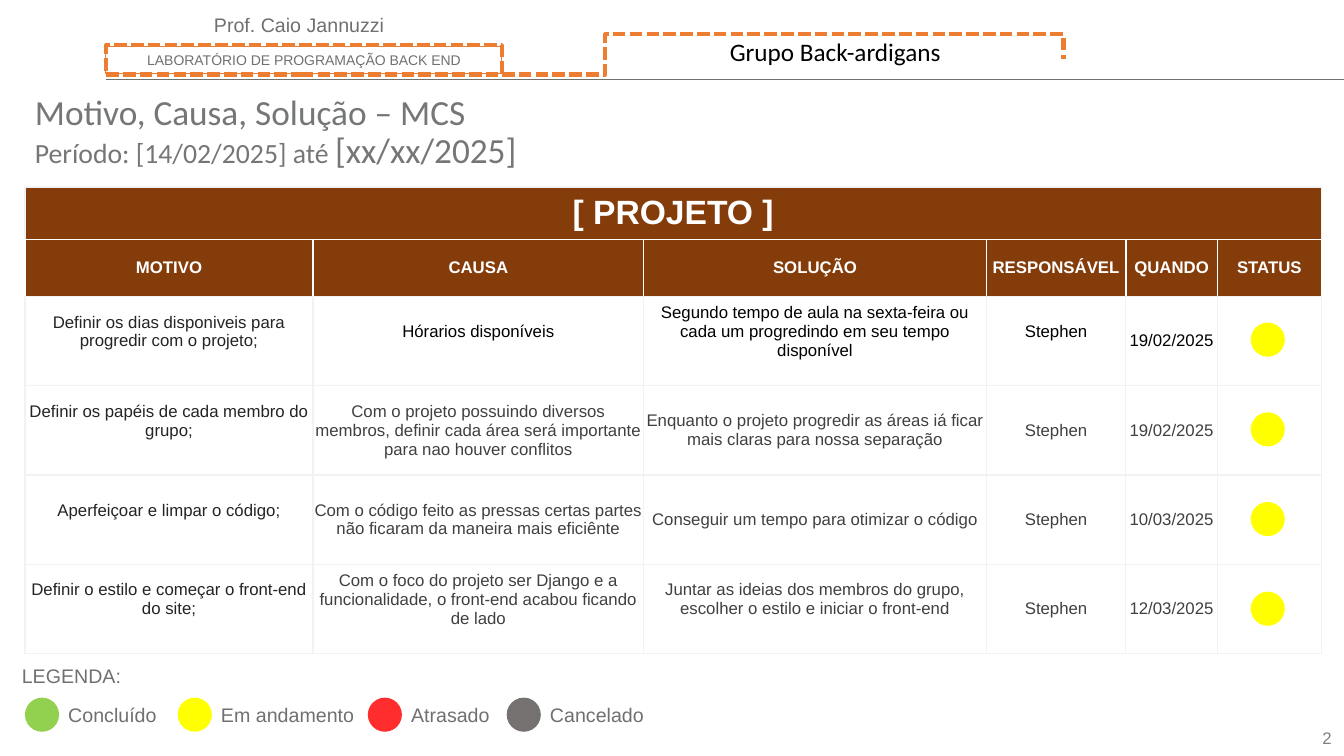
"""Builds the project status slide with its table and legend."""
from dataclasses import dataclass
from typing import Any

from lxml.etree import SubElement as Sub
from pptx import Presentation
from pptx.dml.color import RGBColor as RGB
from pptx.enum.dml import MSO_LINE as Dash
from pptx.enum.shapes import MSO_CONNECTOR as Link, MSO_SHAPE as Form
from pptx.enum.text import MSO_ANCHOR as Anchor, PP_ALIGN as Align
from pptx.oxml.ns import qn
from pptx.util import Cm, Pt


@dataclass(frozen=True)
class Theme:
    """Colours, fonts and type sizes of the slide."""
    sans: str = "Arial"
    head: str = "Calibri"
    gray: str = "6F7070"
    title: str = "747678"
    page: str = "808080"
    black: str = "000000"
    dark: str = "242424"
    soft: str = "404040"
    white: str = "FFFFFF"
    pale: str = "F2F2F2"
    brown: str = "843C0B"
    orange: str = "ED7D31"
    green: str = "92D050"
    yellow: str = "FFFF00"
    red: str = "FF2D2D"
    ash: str = "767171"
    tiny: float = 10
    small: float = 12
    label: float = 14
    group: float = 18
    dates: float = 19.8
    large: float = 24
    huge: float = 25.2


T = Theme()


@dataclass(frozen=True)
class Run:
    """One stretch of text in a single style."""
    text: str
    size: float = T.label
    tint: str = T.gray
    font: str = T.sans
    bold: bool = False


@dataclass(frozen=True)
class Box:
    """Place and size in centimetres."""
    x: float
    y: float
    w: float
    h: float

    def cm(self) -> tuple[Cm, Cm, Cm, Cm]:
        """Return the four lengths."""
        return Cm(self.x), Cm(self.y), Cm(self.w), Cm(self.h)


@dataclass(frozen=True)
class Label:
    """A text box with its lines of runs."""
    box: Box
    lines: list[list[Run]]
    align: Any = Align.LEFT
    anchor: Any = Anchor.MIDDLE
    gap: float = 1.0


@dataclass(frozen=True)
class Key:
    """One legend entry."""
    x: float
    width: float
    text: str
    tint: str


@dataclass(frozen=True)
class Task:
    """One table row; raised lists the columns set a half line higher."""
    cells: list[str]
    raised: tuple[int, ...]
    tints: list[str]


MIXED = [T.dark] + [T.soft] * 4
HEADS = ["MOTIVO", "CAUSA", "SOLUÇÃO", "RESPONSÁVEL", "QUANDO", "STATUS"]
TASKS = [
    Task(["Definir os dias disponiveis para progredir com o projeto;", "Hórarios disponíveis",
          "Segundo tempo de aula na sexta-feira ou cada um progredindo em seu tempo disponível",
          "Stephen", "19/02/2025"], (0, 1, 2, 3), [T.dark] + [T.black] * 4),
    Task(["Definir os papéis de cada membro do grupo;",
          "Com o projeto possuindo diversos membros, definir cada área será importante "
          "para nao houver conflitos",
          "Enquanto o projeto progredir as áreas iá ficar mais claras para nossa separação",
          "Stephen", "19/02/2025"], (0,), MIXED),
    Task(["Aperfeiçoar e limpar o código;",
          "Com o código feito as pressas certas partes não ficaram da maneira mais eficiênte",
          "Conseguir um tempo para otimizar o código", "Stephen", "10/03/2025"], (0,), MIXED),
    Task(["Definir o estilo e começar o front-end do site;",
          "Com o foco do projeto ser Django e a funcionalidade, o front-end acabou ficando de lado",
          "Juntar as ideias dos membros do grupo, escolher o estilo e iniciar o front-end",
          "Stephen", "12/03/2025"], (0, 1, 2), MIXED),
]
KEYS = [Key(0.63, 3.5, "Concluído", T.green), Key(4.48, 4.8, "Em andamento", T.yellow),
        Key(9.27, 3.5, "Atrasado", T.red), Key(12.77, 3.5, "Cancelado", T.ash)]
LABELS = [
    Label(Box(0.63, 2.26, 27.71, 2.18),
          [[Run("Motivo, Causa, Solução – MCS", T.huge, T.title, T.head)],
           [Run("Período: [14/02/2025] até ", T.dates, T.title, T.head),
            Run("[xx/xx/2025]", T.huge, T.title, T.head)]], gap=0.9),
    Label(Box(32.59, 17.96, 1.22, 1.02), [[Run("2", T.small, T.page)]],
          Align.RIGHT, Anchor.BOTTOM),
    Label(Box(15.32, 0.79, 11.46, 1.02),
          [[Run("Grupo Back-ardigans", T.group, T.black, T.head)]], Align.CENTER, Anchor.TOP),
    Label(Box(2.46, 0.18, 10.16, 0.86), [[Run("Prof. Caio Jannuzzi")]], Align.CENTER),
    Label(Box(0.3, 16.59, 3.5, 0.86), [[Run("LEGENDA:")]]),
] + [Label(Box(k.x + 0.84, 17.58, k.width, 0.86), [[Run(k.text)]]) for k in KEYS]
COLS = [7.26, 8.33, 8.64, 3.51, 2.31, 2.62]
ROWS = [1.33, 1.43] + [2.25] * 4
DOT = 0.86


def write(para: Any, run: Run) -> None:
    """Add one run to a paragraph."""
    item = para.add_run()
    item.text = run.text
    font = item.font
    font.name, font.size, font.bold = run.font, Pt(run.size), run.bold
    font.color.rgb = RGB.from_string(run.tint)


def fill_text(frame: Any, label: Label) -> None:
    """Put the lines of a label in a text frame."""
    frame.word_wrap, frame.vertical_anchor = True, label.anchor
    para = frame.paragraphs[0]
    para.alignment, para.line_spacing = label.align, label.gap
    for n, line in enumerate(label.lines):
        if n:
            para.add_line_break()
        for run in line:
            write(para, run)


def stroke(shape: Any, width: float, dash: bool = False) -> None:
    """Leave a shape with an orange outline only."""
    shape.shadow.inherit = False
    shape.fill.background()
    shape.line.color.rgb = RGB.from_string(T.orange)
    shape.line.width = Pt(width)
    if dash:
        shape.line.dash_style = Dash.SQUARE_DOT


def add_dot(shapes: Any, x: float, y: float, tint: str) -> None:
    """Draw a status dot."""
    dot = shapes.add_shape(Form.OVAL, *Box(x, y, DOT, DOT).cm())
    dot.shadow.inherit = False
    dot.fill.solid()
    dot.fill.fore_color.rgb = RGB.from_string(tint)
    dot.line.fill.background()


def add_head(shapes: Any) -> None:
    """Draw the top rule, the course frame and the dashed path."""
    rule = shapes.add_connector(Link.STRAIGHT, Cm(2.67), Cm(1.99), Cm(33.87), Cm(1.99))
    rule.line.color.rgb, rule.line.width = RGB.from_string(T.gray), Pt(0.5)
    Sub(rule._element.spPr, qn("a:effectLst"))
    box = Box(2.67, 1.17, 9.98, 0.68)
    course = shapes.add_shape(Form.RECTANGLE, *box.cm())
    stroke(course, 0.75)
    name = Run("LABORATÓRIO DE PROGRAMAÇÃO BACK END", T.tiny)
    fill_text(course.text_frame, Label(box, [[name]], Align.CENTER))
    stroke(shapes.add_shape(Form.RECTANGLE, *Box(2.67, 1.14, 9.98, 0.74).cm()), 3, True)
    path = shapes.build_freeform(Cm(12.65), Cm(1.88))
    turns = [(15.25, 1.88), (15.25, 0.86), (26.8, 0.86), (26.8, 1.5)]
    path.add_line_segments([(Cm(x), Cm(y)) for x, y in turns], close=False)
    stroke(path.convert_to_shape(), 3, True)


def set_edge(cell: Any, side: str, tint: str, width: float) -> None:
    """Set one border of a cell."""
    line = Sub(cell._tc.get_or_add_tcPr(), qn(f"a:ln{side}"), w=str(Pt(width)))
    Sub(Sub(line, qn("a:solidFill")), qn("a:srgbClr"), val=tint)


def style(cell: Any, row: int, col: int) -> None:
    """Set the borders, fill and margins of a cell."""
    for side in "LRTB":
        bright = (row == 0 and side == "B") or (row == 1 and side != "B")
        thick = row == 1 and ((side == "L" and col > 2) or (side == "R" and 1 < col < 5))
        set_edge(cell, side, T.white if bright else T.pale, 1.5 if thick else 1)
    if row < 2:
        cell.fill.solid()
        cell.fill.fore_color.rgb = RGB.from_string(T.brown)
    else:
        cell.fill.background()
    cell.margin_left = cell.margin_right = cell.margin_top = cell.margin_bottom = 0
    cell.vertical_anchor = Anchor.MIDDLE


def add_grid(shapes: Any) -> None:
    """Draw the project table."""
    box = Box(0.63, 4.71, sum(COLS), sum(ROWS))
    grid = shapes.add_table(len(ROWS), len(COLS), *box.cm()).table
    grid.first_row = grid.horz_banding = False
    for col, width in zip(grid.columns, COLS):
        col.width = Cm(width)
    for row, height in zip(grid.rows, ROWS):
        row.height = Cm(height)
    grid.cell(0, 0).merge(grid.cell(0, len(COLS) - 1))
    texts = [[Run("[ PROJETO ]", T.large, T.white, bold=True)],
             [Run(h, T.small, T.white, bold=True) for h in HEADS]]
    texts += [[Run(t, T.small, c) for t, c in zip(k.cells, k.tints)] for k in TASKS]
    for r, runs in enumerate(texts):
        for c in range(len(COLS)):
            cell = grid.cell(r, c)
            style(cell, r, c)
            if c < len(runs):
                para = cell.text_frame.paragraphs[0]
                para.alignment = Align.CENTER
                write(para, runs[c])
            if r > 1 and c in TASKS[r - 2].raised:
                cell.margin_bottom = Cm(0.48)


def main() -> None:
    """Build and save the slide."""
    deck = Presentation()
    deck.slide_width, deck.slide_height = Cm(33.87), Cm(19.05)
    shapes = deck.slides.add_slide(deck.slide_layouts[6]).shapes
    add_head(shapes)
    add_grid(shapes)
    for label in LABELS:
        fill_text(shapes.add_textbox(*label.box.cm()).text_frame, label)
    for key in KEYS:
        add_dot(shapes, key.x, 17.58, key.tint)
    for n in range(len(TASKS)):
        add_dot(shapes, 31.52, 8.13 + n * 2.26, T.yellow)
    deck.save("out.pptx")


if __name__ == "__main__":
    main()
